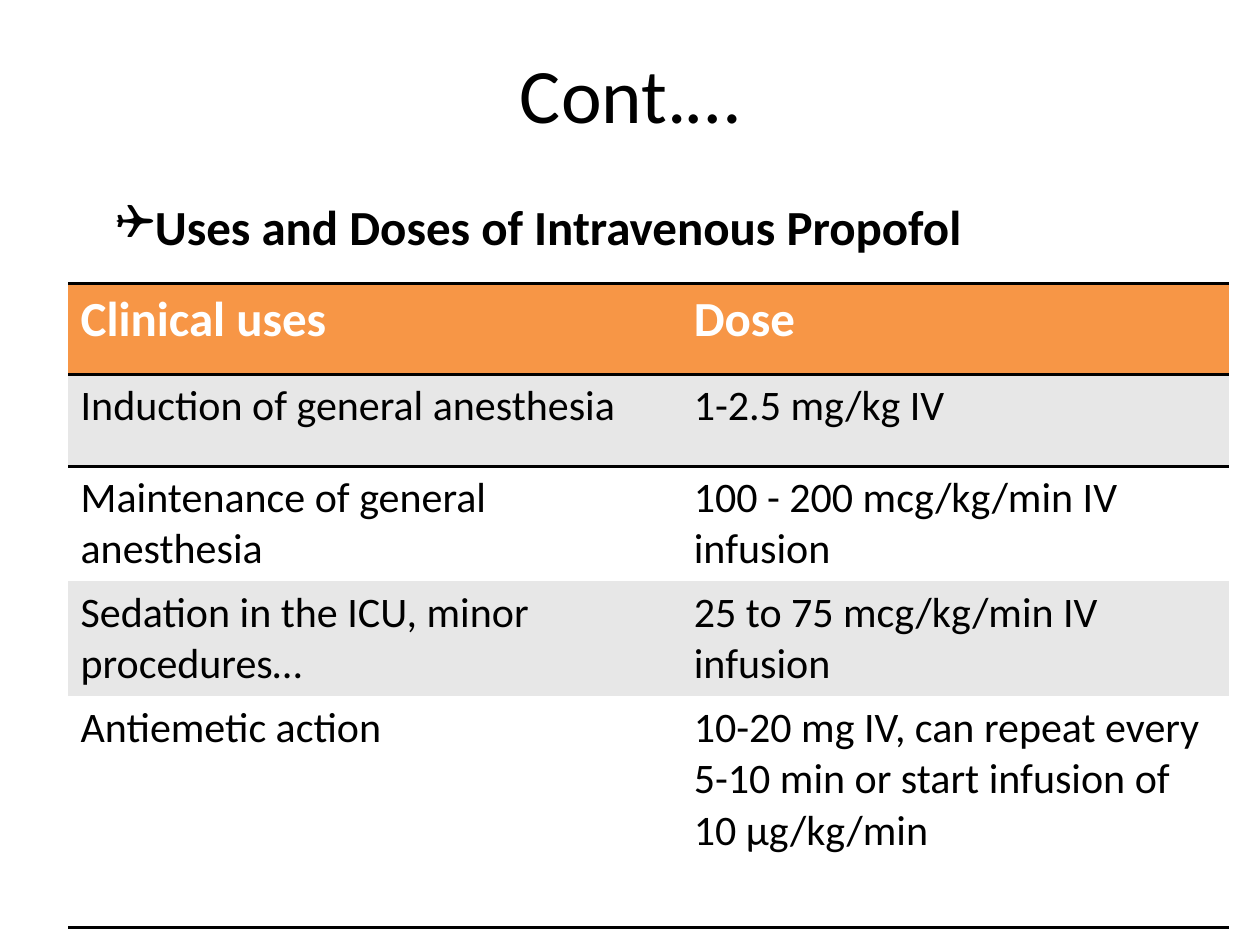
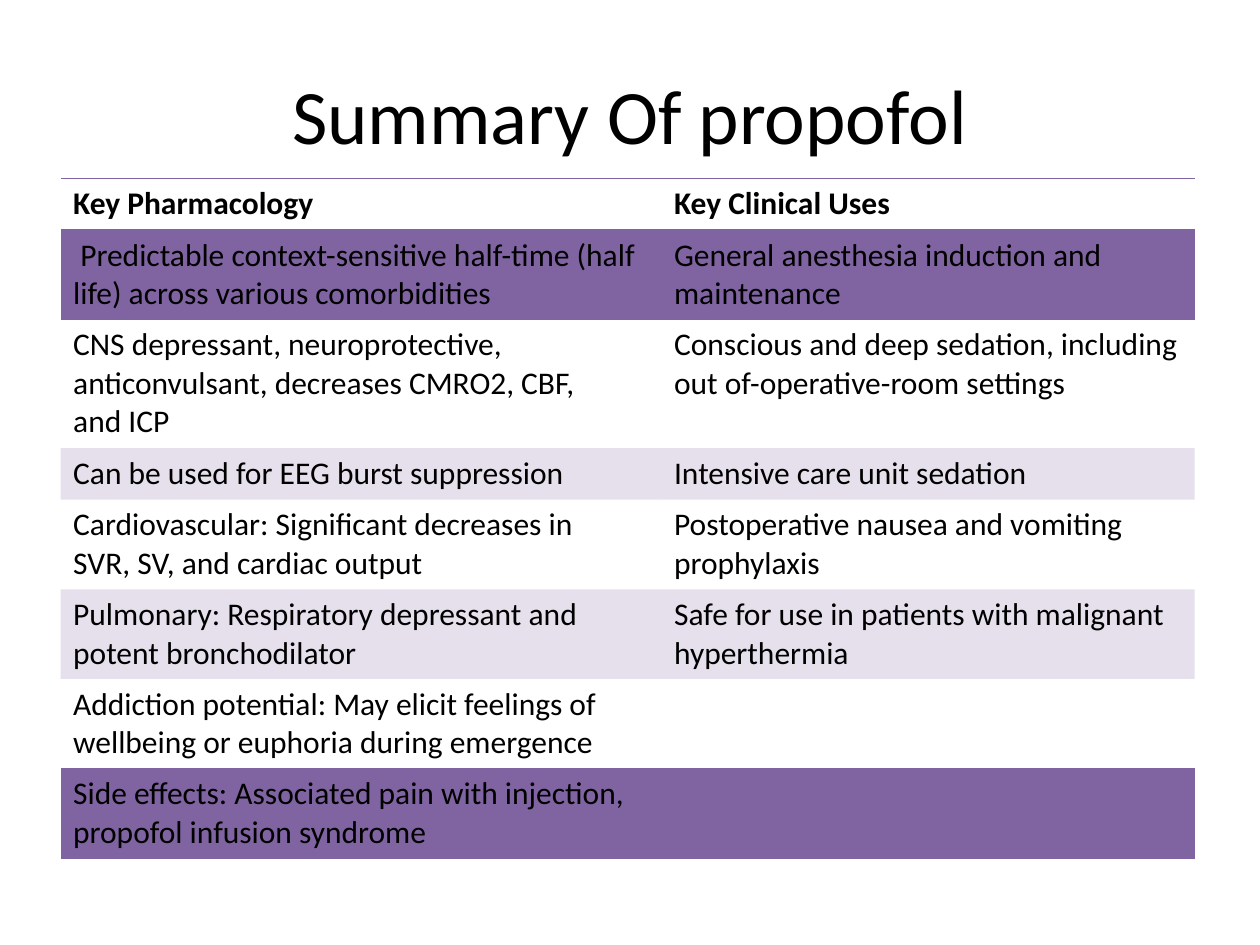
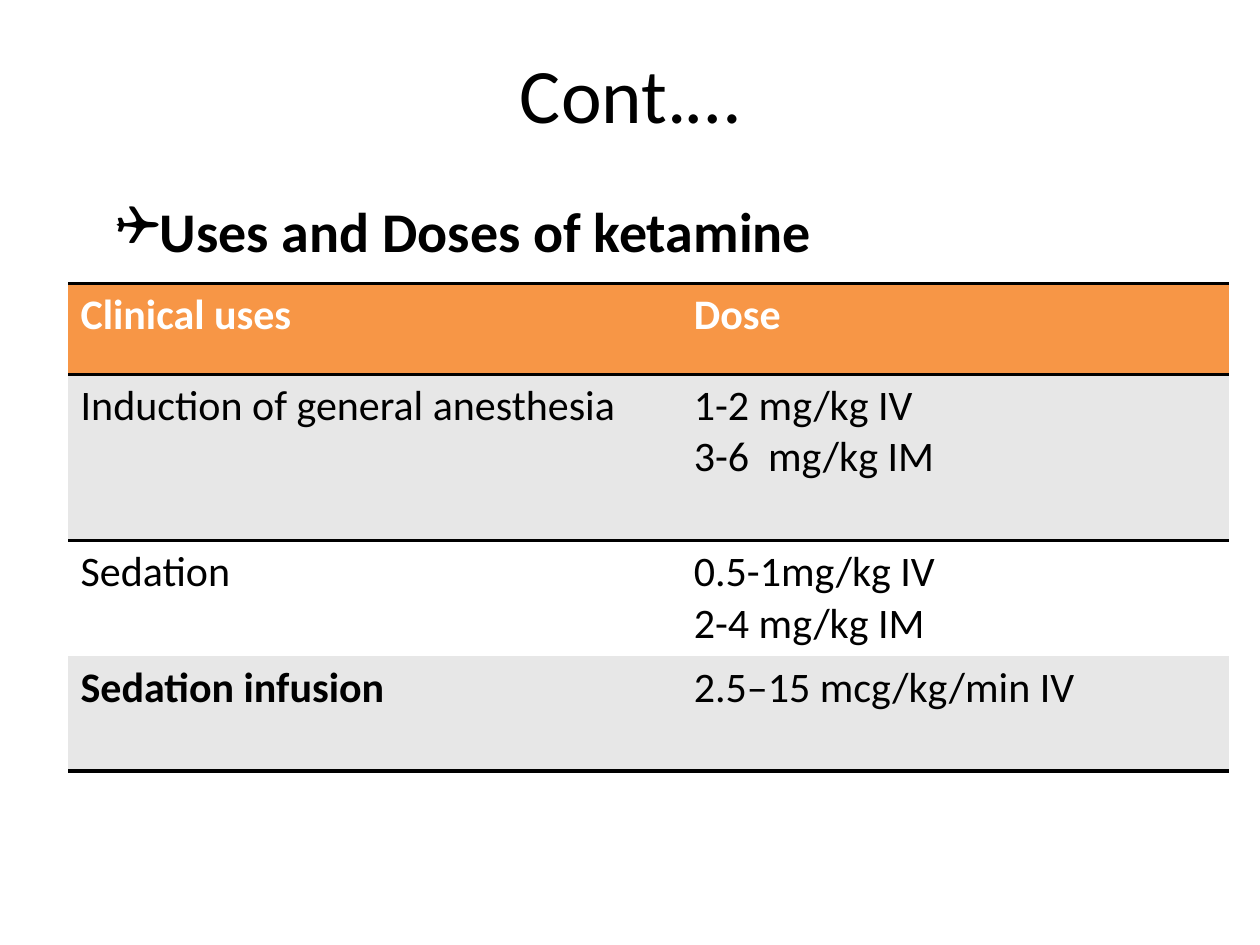
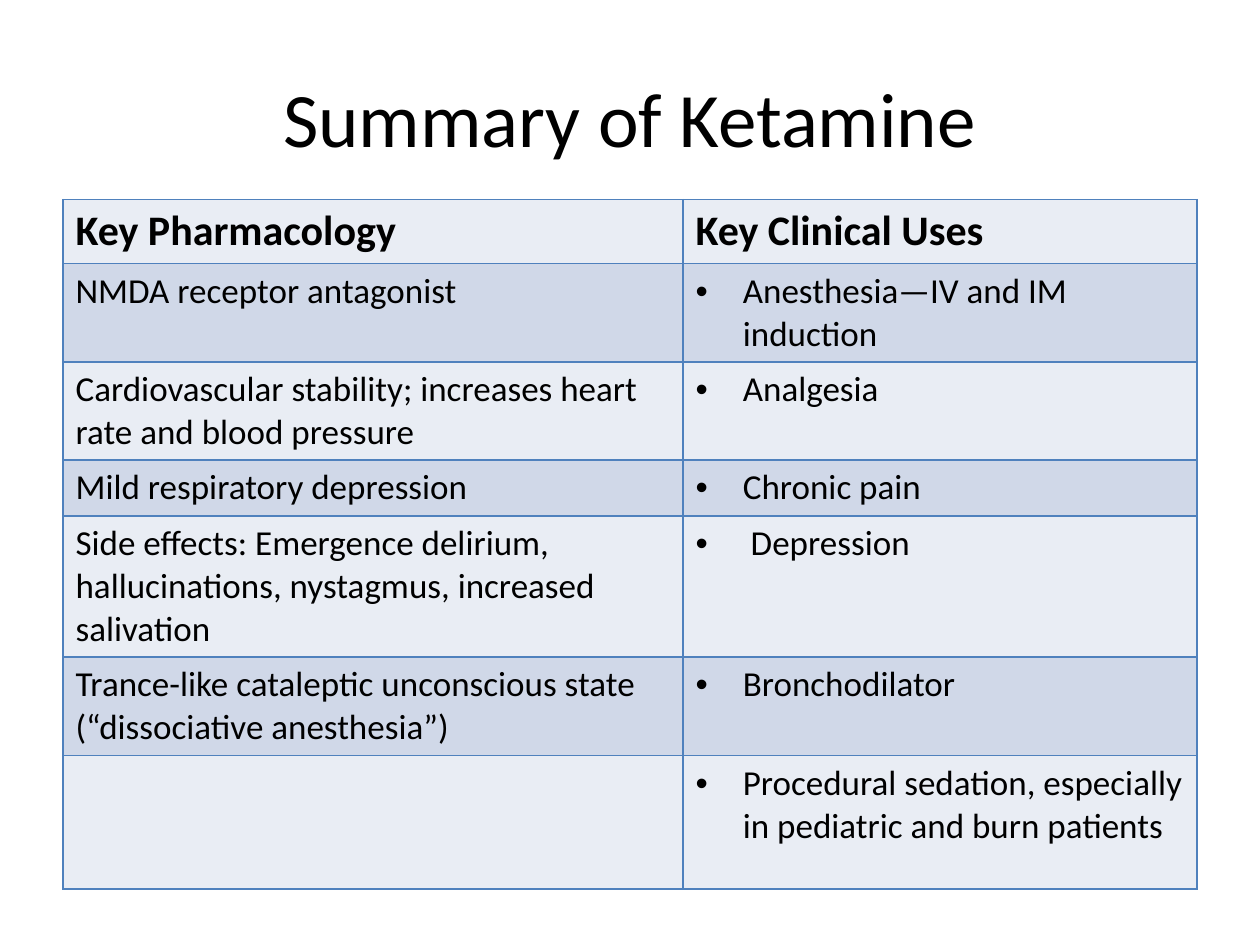
from dataclasses import dataclass

from lxml.etree import SubElement
from pptx import Presentation
from pptx.dml.color import RGBColor
from pptx.enum.text import MSO_ANCHOR, MSO_AUTO_SIZE, PP_ALIGN
from pptx.oxml.ns import qn
from pptx.util import Pt

COLORS = {
    "black": "000000",
    "white": "FFFFFF",
    "orange": "F79646",
    "gray": "E7E7E7",
    "purple": "8064A2",
    "blue": "4F81BD",
    "pale_blue": "E9EDF4",
    "mid_blue": "D0D8E8",
}
FONT = "Calibri"
PLAIN_TABLE_STYLE = "{2D5ABB26-0587-4C30-8999-92F81FD0307C}"


@dataclass
class TableLook:
    header_fill: str
    bands: tuple
    line: str
    line_width: float
    header_color: str = "black"
    band_alpha: int = 100
    full_grid: bool = False


DOSE_LOOK = TableLook("orange", ("gray", "white"), "black", 2, header_color="white")
PURPLE_LOOK = TableLook(None, ("purple", None), "purple", 1, band_alpha=20)
BLUE_LOOK = TableLook("pale_blue", ("mid_blue", "pale_blue"), "blue", 1, full_grid=True)

PROPOFOL_DOSES = [
    ("Clinical uses", "Dose"),
    ("Induction of general anesthesia", "1-2.5 mg/kg IV"),
    ("Maintenance of general anesthesia", "100 - 200 mcg/kg/min IV infusion"),
    ("Sedation in the ICU, minor procedures…", "25 to 75 mcg/kg/min IV infusion"),
    ("Antiemetic action",
     "10-20 mg IV, can repeat every 5-10 min or start infusion of 10 μg/kg/min"),
]
KETAMINE_DOSES = [
    ("Clinical uses", "Dose"),
    ("Induction of general anesthesia", "1-2 mg/kg IV\n3-6  mg/kg IM"),
    ("Sedation", "0.5-1mg/kg IV\n2-4 mg/kg IM"),
    ("Sedation infusion", "2.5–15 mcg/kg/min IV"),
]
PROPOFOL_SUMMARY = [
    ("Key Pharmacology", "Key Clinical Uses"),
    (" Predictable context-sensitive half-time (half life) across various comorbidities",
     "General anesthesia induction and\nmaintenance"),
    ("CNS depressant, neuroprotective,\nanticonvulsant, decreases CMRO2, CBF,\nand ICP",
     "Conscious and deep sedation, including out of-operative-room settings"),
    ("Can be used for EEG burst suppression", "Intensive care unit sedation"),
    ("Cardiovascular: Significant decreases in\nSVR, SV, and cardiac output",
     "Postoperative nausea and vomiting\nprophylaxis"),
    ("Pulmonary: Respiratory depressant and\npotent bronchodilator",
     "Safe for use in patients with malignant\nhyperthermia"),
    ("Addiction potential: May elicit feelings of wellbeing or euphoria during emergence", ""),
    ("Side effects: Associated pain with injection, propofol infusion syndrome", ""),
]
KETAMINE_SUMMARY = [
    ("Key Pharmacology", "Key Clinical Uses"),
    ("NMDA receptor antagonist", "Anesthesia—IV and IM induction"),
    ("Cardiovascular stability; increases heart rate and blood pressure", "Analgesia"),
    ("Mild respiratory depression", "Chronic pain"),
    ("Side effects: Emergence delirium,\nhallucinations, nystagmus, increased salivation",
     " Depression"),
    ("Trance-like cataleptic unconscious state (“dissociative anesthesia”)", "Bronchodilator"),
    ("", "Procedural sedation, especially in pediatric and burn patients"),
]


def format_text(text_frame, size, color="black", bold=False):
    values = {"name": FONT, "size": Pt(size), "bold": bold}
    for paragraph in text_frame.paragraphs:
        for run in paragraph.runs:
            for name, value in values.items():
                setattr(run.font, name, value)
            run.font.color.rgb = RGBColor.from_string(COLORS[color])


def add_bullet(paragraph, symbol, font, indent):
    properties = paragraph._p.get_or_add_pPr()
    properties.set("marL", str(Pt(indent)))
    properties.set("indent", str(-Pt(indent)))
    SubElement(properties, qn("a:buFont"), typeface=font)
    SubElement(properties, qn("a:buChar"), char=symbol)


def add_text_box(slide, box, text):
    text_frame = slide.shapes.add_textbox(*map(Pt, box)).text_frame
    text_frame.word_wrap = True
    text_frame.text = text
    return text_frame


def add_title(slide, text, height):
    text_frame = add_text_box(slide, (36, 21.6, 648, height), text)
    text_frame.vertical_anchor = MSO_ANCHOR.MIDDLE
    text_frame.paragraphs[0].alignment = PP_ALIGN.CENTER
    format_text(text_frame, 44)


def add_heading(slide, text, size, height):
    text_frame = add_text_box(slide, (59, 108.7, 602.6, height), text)
    text_frame.auto_size = MSO_AUTO_SIZE.SHAPE_TO_FIT_TEXT
    add_bullet(text_frame.paragraphs[0], "❑", "Wingdings", 22.5)
    format_text(text_frame, size, bold=True)


def set_borders(cell, sides, color, width):
    properties = cell._tc.get_or_add_tcPr()
    for side in sides:
        line = SubElement(properties, qn(f"a:ln{side}"), w=str(Pt(width)))
        fill = SubElement(line, qn("a:solidFill"))
        SubElement(fill, qn("a:srgbClr"), val=COLORS[color])


def set_fill(cell, color, alpha=100):
    if color is None:
        cell.fill.background()
        return
    cell.fill.solid()
    cell.fill.fore_color.rgb = RGBColor.from_string(COLORS[color])
    if alpha < 100:
        color_element = cell._tc.tcPr.find(f".//{qn('a:srgbClr')}")
        SubElement(color_element, qn("a:alpha"), val=str(alpha * 1000))


def border_sides(look, row, last_row):
    if look.full_grid:
        return "LRTB"
    if row == 0:
        return "TB"
    if row == 1:
        return "T"
    return "B" if row == last_row else ""


def add_table(slide, position, widths, heights, rows, look, header_size, body_size):
    size = (sum(widths), sum(heights))
    frame = slide.shapes.add_table(len(rows), len(widths), *map(Pt, (*position, *size)))
    table = frame.table
    table.horz_banding = False
    table._tbl.tblPr.find(qn("a:tableStyleId")).text = PLAIN_TABLE_STYLE
    for column, width in zip(table.columns, widths):
        column.width = Pt(width)
    for index, (row, height, texts) in enumerate(zip(table.rows, heights, rows)):
        row.height = Pt(height)
        sides = border_sides(look, index, len(rows) - 1)
        for cell, text in zip(row.cells, texts):
            cell.text = text
            set_borders(cell, sides, look.line, look.line_width)
            if index == 0:
                set_fill(cell, look.header_fill)
                format_text(cell.text_frame, header_size, look.header_color, bold=True)
            else:
                set_fill(cell, look.bands[(index - 1) % 2], look.band_alpha)
                format_text(cell.text_frame, body_size)
    return table


def add_dose_slide(slide, heading, heading_size, heading_height, rows, heights, header_size):
    add_title(slide, "Cont.…", 62.6)
    table = add_table(slide, (38.9, 162), (350.4, 312.8), heights, rows,
                      DOSE_LOOK, header_size, 24)
    add_heading(slide, heading, heading_size, heading_height)
    return table


def add_propofol_summary(slide):
    add_title(slide, "Summary Of propofol", 86.4)
    heights = [29.5, 51.2, 73.4, 29.5] + [51.2] * 4
    add_table(slide, (34.6, 102), (343.4, 304.6), heights, PROPOFOL_SUMMARY,
              PURPLE_LOOK, 18, 18)


def add_ketamine_summary(slide):
    add_title(slide, "Summary of Ketamine", 90)
    heights = [36.6, 56.2, 56.2, 32, 80.6, 56.2, 76.3]
    table = add_table(slide, (36, 114), (354.3, 293.7), heights, KETAMINE_SUMMARY,
                      BLUE_LOOK, 24, 20)
    for row in range(1, len(KETAMINE_SUMMARY)):
        add_bullet(table.cell(row, 1).text_frame.paragraphs[0], "•", "Arial", 27)


def main():
    presentation = Presentation()
    presentation.slide_width, presentation.slide_height = Pt(720), Pt(540)
    blank = presentation.slide_layouts[6]
    slides = [presentation.slides.add_slide(blank) for _ in range(4)]

    add_dose_slide(slides[0], "Uses and Doses of Intravenous Propofol", 28, 41,
                   PROPOFOL_DOSES, (52, 52.4, 65.8, 65.8, 132), 28)
    add_propofol_summary(slides[1])
    ketamine_table = add_dose_slide(slides[2], "Uses and Doses of ketamine", 32, 46,
                                    KETAMINE_DOSES, (52, 95, 65.8, 65.8), 24)
    format_text(ketamine_table.cell(3, 0).text_frame, 24, bold=True)
    add_ketamine_summary(slides[3])
    presentation.save("out.pptx")


if __name__ == "__main__":
    main()
